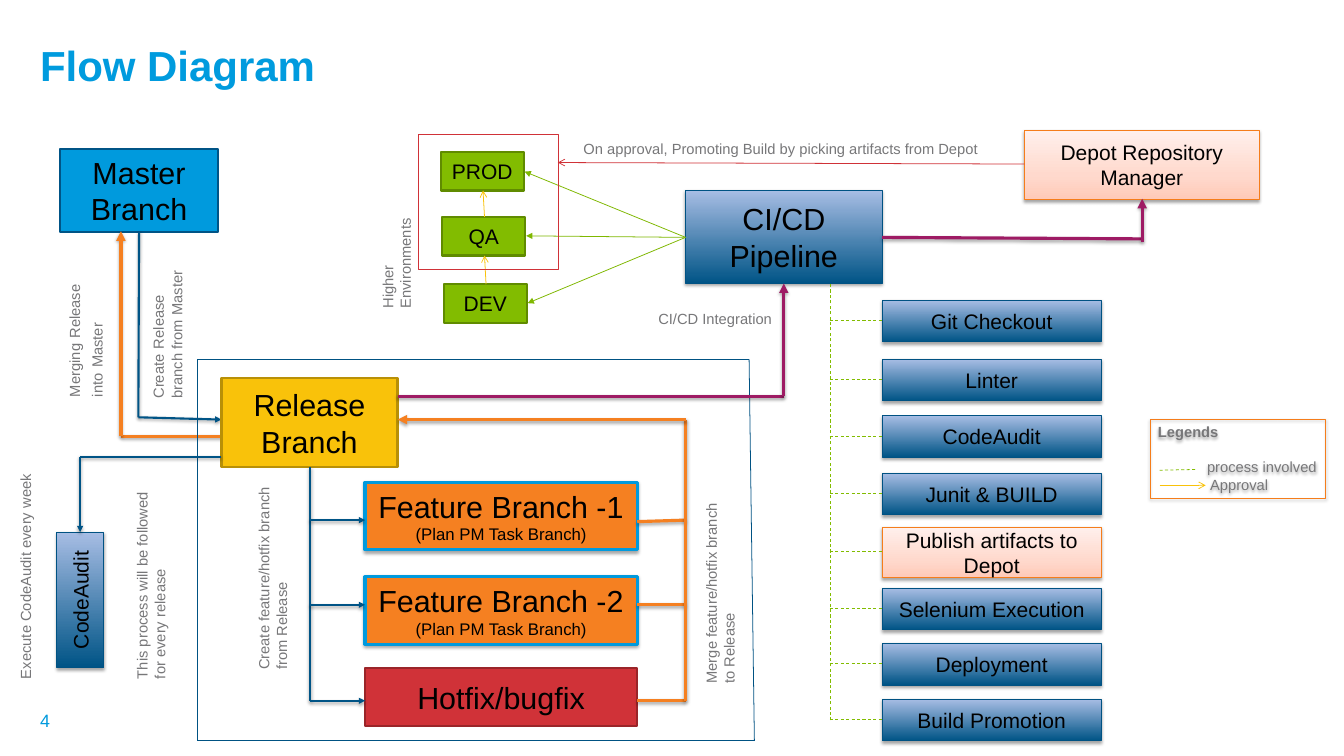
from dataclasses import dataclass
from typing import Any

from lxml import etree
from pptx import Presentation
from pptx.dml.color import RGBColor
from pptx.enum.dml import MSO_LINE
from pptx.enum.shapes import MSO_CONNECTOR, MSO_SHAPE
from pptx.enum.text import MSO_ANCHOR, MSO_AUTO_SIZE, PP_ALIGN
from pptx.oxml.ns import qn
from pptx.util import Pt

PX = 9144  # EMU in one px, 100 px to the inch
FONT = "Arial"
RECTANGLE, STRAIGHT = MSO_SHAPE.RECTANGLE, MSO_CONNECTOR.STRAIGHT
MIDDLE, CENTER = MSO_ANCHOR.MIDDLE, PP_ALIGN.CENTER
GROW, DASH = MSO_AUTO_SIZE.SHAPE_TO_FIT_TEXT, MSO_LINE.DASH

BLACK, GRAY = "000000", "777779"
SKY, NAVY, EDGE = "009ADD", "005486", "005283"
ORANGE, RIM, RED = "F58021", "F57D1B", "D03238"
GOLD, GREEN, LIME, PLUM = "F9C20A", "82BC00", "7FB800", "9E1B64"
BLUE_STOPS = ((0, NAVY), (100, "A7BDE4"))
PEACH_STOPS = ((0, "FFCAB8"), (35, "FFD9CD"), (100, "FFF0EC"))
BLUE = dict(fill=BLUE_STOPS, line=EDGE, width=0.75, shadow=True)
PEACH = dict(fill=PEACH_STOPS, line=RIM, width=0.75, shadow=True)
DASHED = dict(color=GREEN, width=0.75, dash=True)


def color_of(value):
    return RGBColor.from_string(value)


def add_color(parent, value):
    return etree.SubElement(parent, qn("a:srgbClr"), val=value)


def add_shadow(effects):
    outer = etree.SubElement(effects, qn("a:outerShdw"), blurRad=str(Pt(3.1)),
                             dist=str(Pt(1.8)), dir="5400000", rotWithShape="0")
    etree.SubElement(add_color(outer, BLACK), qn("a:alpha"), val="35000")


def paint(fill, value):
    """Fill with nothing, one colour or upward gradient stops."""
    if value is None:
        fill.background()
    elif isinstance(value, str):
        fill.solid()
        fill.fore_color.rgb = color_of(value)
    else:
        fill.gradient()
        fill.gradient_angle = 90
        stops = fill._xPr.find(".//" + qn("a:gsLst"))
        stops.clear()
        for position, color in value:
            add_color(etree.SubElement(stops, qn("a:gs"), pos=str(position * 1000)), color)


def set_font(font, size, color, bold=False):
    font.name, font.size, font.bold = FONT, Pt(size), bold
    font.color.rgb = color_of(color)


def turn(frame):
    frame._txBody.bodyPr.set("vert", "vert270")


@dataclass
class Region:
    """Places parts relative to its own left top corner."""
    slide: Any
    left: int
    top: int

    def place(self, x, y):
        return (self.left + x) * PX, (self.top + y) * PX

    def box(self, x, y, width_px, height_px, lines=(), fill=None, line=NAVY, width=2, shadow=False):
        """Rectangle with centred lines, each a (text, size) pair."""
        shape = self.slide.shapes.add_shape(
            RECTANGLE, *self.place(x, y), width_px * PX, height_px * PX)
        paint(shape.fill, fill)
        shape.line.color.rgb = color_of(line)
        shape.line.width = Pt(width)
        shape.shadow.inherit = False
        if shadow:
            add_shadow(shape._element.spPr.find(qn("a:effectLst")))
        frame = shape.text_frame
        frame.word_wrap, frame.vertical_anchor = True, MIDDLE
        for index, (text, size) in enumerate(lines):
            paragraph = frame.add_paragraph() if index else frame.paragraphs[0]
            paragraph.text, paragraph.alignment = text, CENTER
            set_font(paragraph.font, size, BLACK)
        return shape

    def path_line(self, *points, color, width, arrow=None, shadow=False, dash=False):
        """Straight connectors through the points; the last may end in an arrow."""
        for start, end in zip(points, points[1:]):
            connector = self.slide.shapes.add_connector(
                STRAIGHT, *self.place(*start), *self.place(*end))
            connector.line.color.rgb = color_of(color)
            connector.line.width = Pt(width)
            if dash:
                connector.line.dash_style = DASH
            if arrow and end == points[-1]:
                etree.SubElement(connector.line._get_or_add_ln(), qn("a:tailEnd"), type=arrow)
            effects = etree.SubElement(connector._element.spPr, qn("a:effectLst"))
            if shadow:
                add_shadow(effects)

    def text(self, x, y, width, height, words, size=14, color=GRAY, bold=False):
        textbox = self.slide.shapes.add_textbox(
            *self.place(x, y), width * PX, height * PX)
        frame = textbox.text_frame
        frame.word_wrap = True
        frame.paragraphs[0].text = words
        set_font(frame.paragraphs[0].font, size, color, bold)
        return frame

    def note(self, x, y, width, height, words, wide=0):
        """Gray label, upright if tall; its first `wide` spaces are larger."""
        first, *rest = words.split(" ", wide) if wide else [words]
        frame = self.text(x, y, width, height, first)
        frame.auto_size = GROW
        for word in rest:
            for part, size in ((" ", 18), (word, 14)):
                run = frame.paragraphs[0].add_run()
                run.text, run.font.size = part, Pt(size)
        if height > width:
            turn(frame)


def add_header(region):
    title = region.text(0, 0, 1709, 92, "Flow Diagram", 40, "009BDE", True)
    number = region.text(0, 887, 415, 53, "4", 17, SKY)
    for frame in (title, number):
        frame.vertical_anchor = MIDDLE
        frame.margin_left = frame.margin_right = 18 * PX
        frame.margin_top = frame.margin_bottom = 9 * PX


def add_master(region):
    region.box(62, 0, 210, 110, [("Master Branch", 29)], SKY)
    region.path_line((167, 109), (166, 355), (276, 358), color=NAVY, width=2,
                     arrow="triangle", shadow=True)
    region.path_line((276, 380), (143, 380), (143, 109), color=ORANGE, width=3,
                     arrow="triangle", shadow=True)
    region.note(59, 139, 74, 199, "Merging Release into Master", wide=3)
    region.note(170, 141, 74, 199, "Create Release branch from Master", wide=1)


def add_weekly_scan(region):
    turn(region.box(58, 127, 62, 179, [("CodeAudit", 20)], **BLUE).text_frame)
    region.path_line((276, 27), (89, 27), (89, 127), color=NAVY, width=2,
                     arrow="triangle", shadow=True)
    region.note(0, 0, 44, 331, "Execute CodeAudit every week")
    region.note(154, 59, 67, 272, "This process will be followed for every release")


def add_release(region):
    region.path_line((0, 0), (730, 0), (737, 505), (0, 505), (0, 0), color=EDGE, width=0.75)
    region.box(32, 25, 233, 118, [("Release Branch", 29)], GOLD, "B89007")
    # Working branches
    for number, top in ((1, 163), (2, 288)):
        region.box(222, top, 360, 89,
                   [(f"Feature Branch -{number}", 29), ("(Plan PM Task Branch)", 16)],
                   ORANGE, SKY, 3, True)
    region.box(222, 409, 360, 76, [("Hotfix/bugfix", 29)], RED, "9A2529")
    # Branching out on the left, merging back on the right
    branch = dict(color=NAVY, width=2, shadow=True)
    merge = dict(color=ORANGE, width=3, shadow=True)
    region.path_line((149, 143), (149, 452), **branch)
    for y, exit_y in ((213, 215), (325, 325), (452, 452)):
        region.path_line((149, y), (222, y), arrow="triangle", **branch)
        region.path_line((582, exit_y), (646, y), **merge)
    region.path_line((646, 452), (646, 80), (265, 80), arrow="triangle", **merge)
    region.note(71, 149, 67, 272, "Create feature/hotfix branch from Release")
    region.note(663, 167, 67, 272, "Merge feature/hotfix branch to Release")


def add_environments(region):
    for index, (name, y, target) in enumerate(
            (("PROD", 23, (198, 49)), ("QA", 109, (200, 134)), ("DEV", 198, (202, 223)))):
        region.box(87 + 2 * index, y, 110, 51, [(name, 20)], GREEN, "608B00")
        region.path_line((411, 136), target, color=LIME, width=0.75, arrow="triangle")
    for start, end in (((147, 198), (145, 160)), ((145, 109), (143, 74))):
        region.path_line(start, end, color=GOLD, width=0.75, arrow="arrow")
    region.box(57, 0, 186, 179, line=RED, width=0.75)
    region.note(0, 44, 44, 196, "Higher Environments")


def add_pipeline(region):
    region.box(169, 80, 260, 123, [("CI/CD Pipeline", 29)], **BLUE)
    region.box(617, 0, 311, 92, [("Depot Repository Manager", 20)], **PEACH)
    plum = dict(color=PLUM, width=3, shadow=True)
    region.path_line((-212, 352), (299, 352), (299, 203), arrow="triangle", **plum)
    region.path_line((429, 142), (773, 144), **plum)
    region.path_line((773, 148), (773, 91), arrow="triangle", **plum)
    region.path_line((617, 45), (0, 43), color=RED, width=0.75, arrow="arrow")
    region.note(123, 233, 178, 34, "CI/CD Integration")
    region.note(24, 8, 548, 34,
                "On approval, Promoting Build by picking artifacts from Depot")


def add_steps(region):
    region.path_line((0, 578), (0, 0), **DASHED)
    steps = (("Git Checkout", 22), ("Linter", 100), ("CodeAudit", 175),
             ("Junit & BUILD", 251), ("Publish artifacts to Depot", 322),
             ("Selenium Execution", 403), ("Deployment", 476), ("Build Promotion", 550))
    for name, top in steps:
        publishing = name.startswith("Publish")
        height = 67 if publishing else 55
        region.box(69, top, 290, height, [(name, 20)], **(PEACH if publishing else BLUE))
        middle = top + height // 2
        region.path_line((0, middle), (69, middle), **DASHED)


def add_legend(region):
    shape = region.box(0, 0, 232, 104, line=RIM, width=0.75, shadow=True)
    frame = shape.text_frame
    frame.vertical_anchor, frame.auto_size = MSO_ANCHOR.TOP, GROW
    entries = (("Legends", 0, 0), ("process involved", 65, 16), ("Approval", 69, 0))
    for index, (words, indent, gap) in enumerate(entries):
        paragraph = frame.add_paragraph() if index else frame.paragraphs[0]
        paragraph.text, paragraph.alignment = words, PP_ALIGN.LEFT
        paragraph.space_before = Pt(gap)
        paragraph._p.get_or_add_pPr().set("marL", str(indent * PX))
        set_font(paragraph.font, 14, GRAY, bold=index == 0)
    region.path_line((12, 67), (61, 66), **DASHED)
    region.path_line((12, 87), (73, 87), color=GOLD, width=0.75, arrow="arrow")


def main():
    presentation = Presentation()
    presentation.slide_width, presentation.slide_height = 1778 * PX, 1000 * PX
    slide = presentation.slides.add_slide(presentation.slide_layouts[6])
    add_header(Region(slide, 35, 40))
    add_master(Region(slide, 17, 197))
    add_release(Region(slide, 261, 475))
    add_pipeline(Region(slide, 738, 172))
    add_environments(Region(slide, 496, 178))
    add_steps(Region(slide, 1098, 375))
    add_legend(Region(slide, 1522, 555))
    add_weekly_scan(Region(slide, 17, 577))
    presentation.save("out.pptx")


if __name__ == "__main__":
    main()
